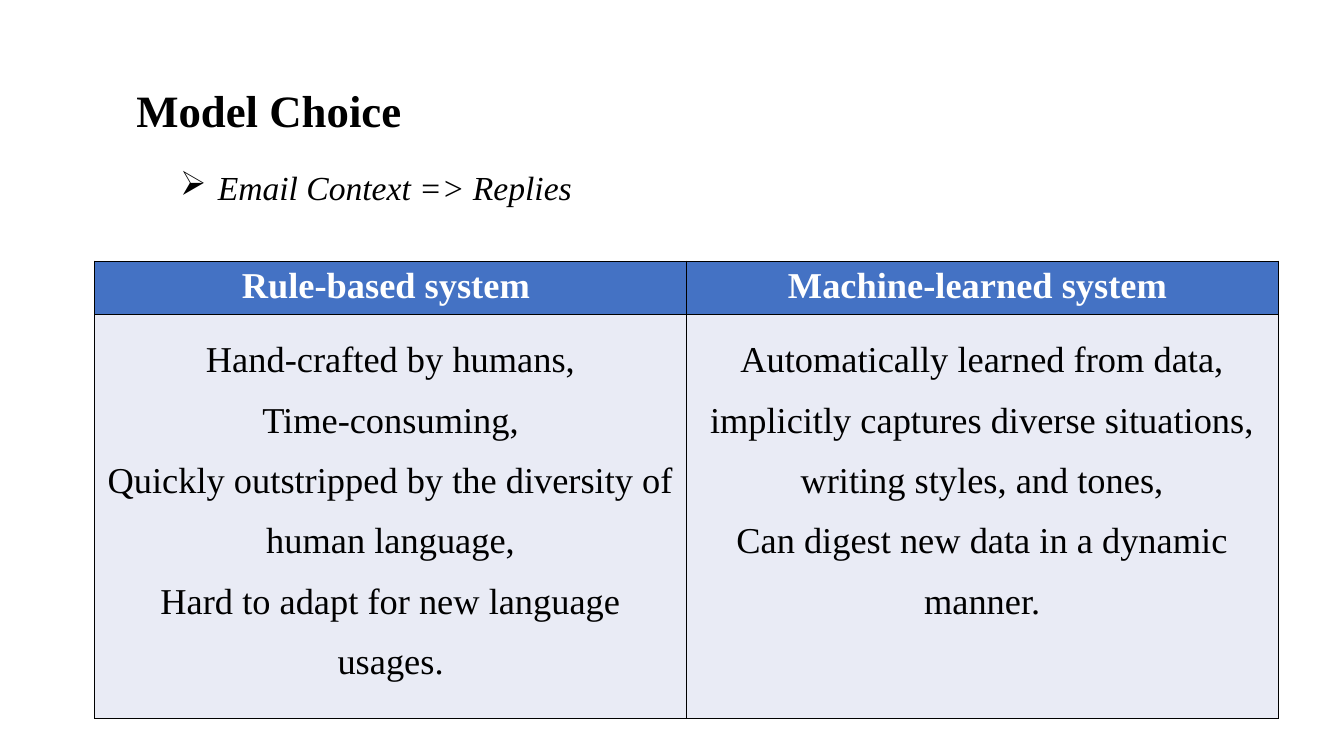
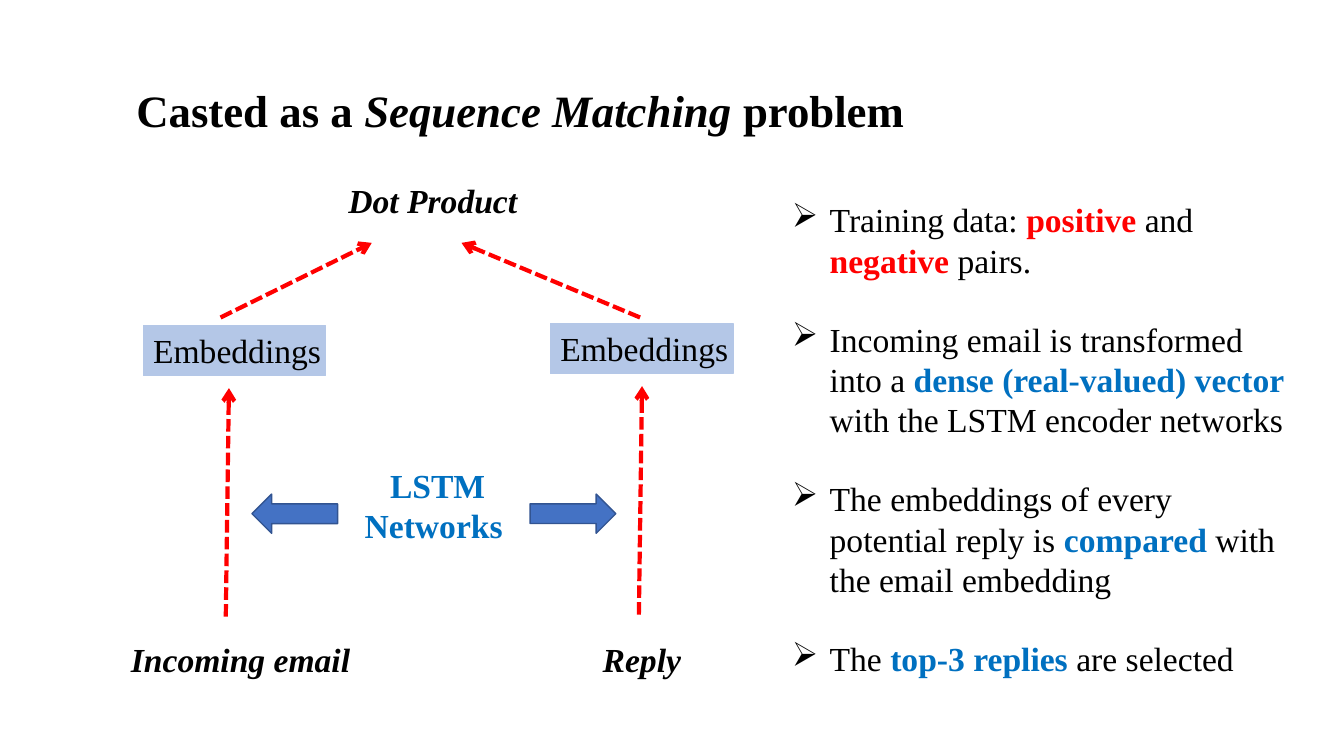
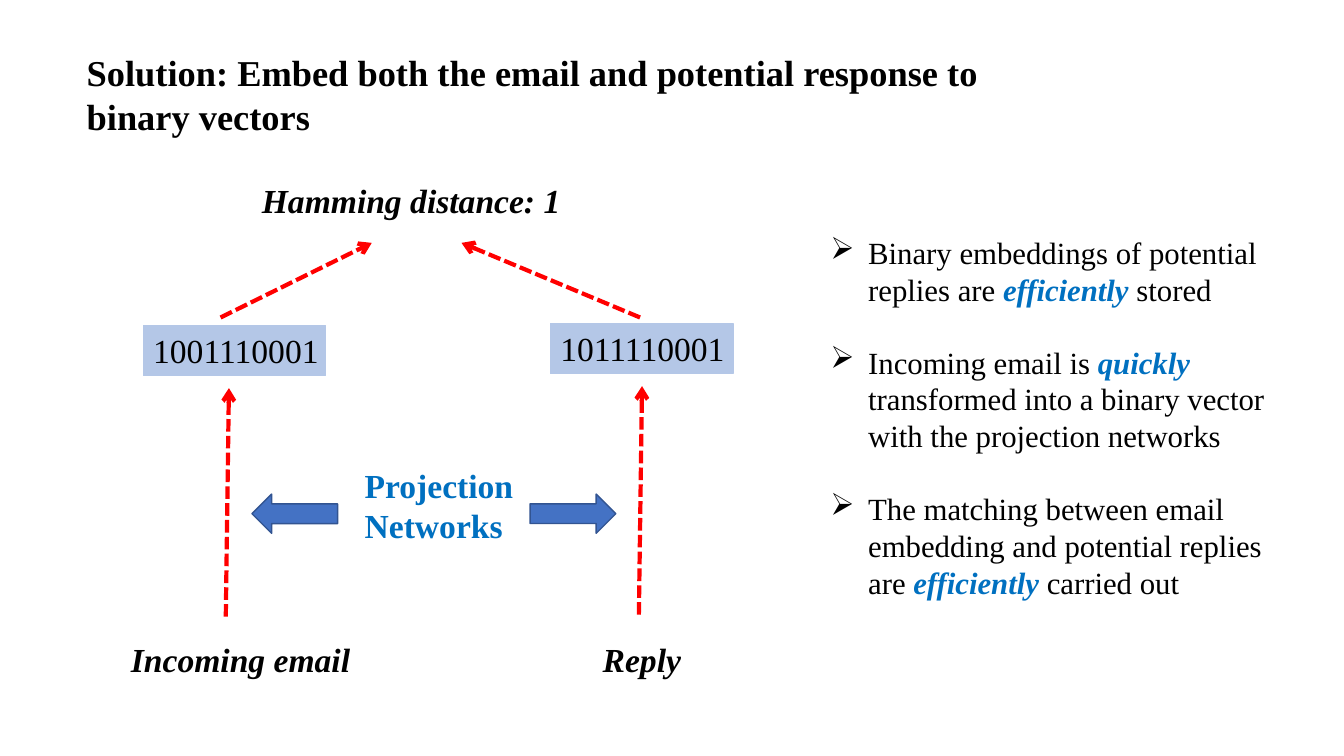
"""Build three slides on choosing and designing an email reply model."""
import pptx
import pptx.util
import pptx.dml.color
import pptx.enum.dml
import pptx.enum.shapes
import pptx.enum.text
import pptx.oxml
import pptx.oxml.ns

Cm, Pt = pptx.util.Cm, pptx.util.Pt
SHAPE = pptx.enum.shapes.MSO_SHAPE
ALIGN = pptx.enum.text.PP_ALIGN
FONT = "Times New Roman"
INDENT = 0.95
HUES = {"black": "000000", "white": "FFFFFF", "red": "FF0000", "blue": "0070C0",
        "head": "4472C4", "body": "E9EBF5", "box": "B4C7E7", "edge": "325491"}
STYLES = {
    "plain": ("black", {"bold": False, "italic": False}),
    "bold": ("black", {"bold": True, "italic": False}),
    "slant": ("black", {"bold": False, "italic": True}),
    "label": ("black", {"bold": True, "italic": True}),
    "white": ("white", {"bold": True, "italic": False}),
    "red": ("red", {"bold": True, "italic": False}),
    "blue": ("blue", {"bold": True, "italic": False}),
    "stress": ("blue", {"bold": True, "italic": True}),
}

CHOICE = {
    "title": [("Model Choice", "bold")],
    "place": (3.18, 0.61, 7.26, 2.57),
    "point": [("Email Context => Replies", "slant")],
    "table": [
        ("Rule-based system ", [
            "Hand-crafted by humans,",
            "Time-consuming,",
            "Quickly outstripped by the diversity of human language,",
            "Hard to adapt for new language usages."]),
        ("Machine-learned system ", [
            "Automatically learned from data,",
            "implicitly captures diverse situations, writing styles, and tones,",
            "Can digest new data in a dynamic manner."]),
    ],
}
MATCH = {
    "title": [("Casted as a ", "bold"), ("Sequence Matching ", "label"),
              ("problem", "bold")],
    "place": (3.18, 0.61, 20.04, 2.57),
    "score": ("Dot Product", 8.53),
    "codes": ("Embeddings", "Embeddings"),
    "net": ("LSTM Networks", 0.64),
    "list": (19.71, 4.9, 13.13, 12.57),
    "size": 24,
    "points": [
        [("Training data: ", "plain"), ("positive ", "red"), ("and ", "plain"),
         ("negative ", "red"), ("pairs.", "plain")],
        [("Incoming email is transformed into a ", "plain"),
         ("dense (real-valued) vector ", "blue"),
         ("with the LSTM encoder networks", "plain")],
        [("The embeddings of every potential reply is ", "plain"),
         ("compared ", "blue"), ("with the email embedding", "plain")],
        [("The ", "plain"), ("top-3 replies ", "blue"), ("are selected", "plain")],
    ],
}
BINARY = {
    "title": [("Solution: Embed both the email and potential response to "
               "binary vectors", "bold")],
    "place": (1.93, 1.14, 25.02, 2.49),
    "score": ("Hamming distance: 1", 6.35),
    "codes": ("1001110001", "1011110001"),
    "net": ("Projection Networks", 0),
    "list": (20.68, 5.77, 11.76, 9.65),
    "size": 22,
    "points": [
        [("Binary embeddings of potential replies are ", "plain"),
         ("efficiently ", "stress"), ("stored", "plain")],
        [("Incoming email is ", "plain"), ("quickly ", "stress"),
         ("transformed into a binary vector with the projection networks", "plain")],
        [("The matching between email embedding and potential replies are ", "plain"),
         ("efficiently ", "stress"), ("carried out", "plain")],
    ],
}
INPUTS = [("Incoming email", 3.05, 9.68), ("Reply", 14.94, 8.1)]
SPOTS = [(3.61, 8.2), (13.87, 8.15)]
LINKS = [(5.69, 15.54, 5.77, 9.78), (16.1, 15.49, 16.18, 9.73),
         (5.56, 8, 9.37, 6.12), (16.13, 8, 11.63, 6.12)]
BLOCKS = [(6.35, 180), (13.36, 0)]


def hue(name):
    return pptx.dml.color.RGBColor.from_string(HUES[name])


def node(tag, **attrs):
    item = pptx.oxml.parse_xml(f"<a:{tag} {pptx.oxml.ns.nsdecls('a')}/>")
    for key, value in attrs.items():
        item.set(key, value)
    return item


def write(para, runs, size, **form):
    for key, value in form.items():
        setattr(para, key, value)
    for text, style in runs:
        run = para.add_run()
        run.text = text
        color, marks = STYLES[style]
        for key, value in {"name": FONT, "size": Pt(size), **marks}.items():
            setattr(run.font, key, value)
        run.font.color.rgb = hue(color)


def fill_in(frame, paras, size, bullet=False, **form):
    for i, runs in enumerate(paras):
        para = frame.add_paragraph() if i else frame.paragraphs[0]
        if bullet:
            props = para._p.get_or_add_pPr()
            props.set("marL", str(Cm(INDENT)))
            props.set("indent", str(-Cm(INDENT)))
            props.append(node("buChar", char="➢"))
            form["space_before"] = Pt(round(size * 1.15, 1) if i else 0)
        write(para, runs, size, **form)


def add_text(slide, place, paras, size=24, **form):
    frame = slide.shapes.add_textbox(*map(Cm, place)).text_frame
    frame.word_wrap = True
    fill_in(frame, paras, size, **form)
    return frame


def add_shape(slide, kind, place, fill, edge):
    shape = slide.shapes.add_shape(kind, *map(Cm, place))
    shape.shadow.inherit = False
    shape.fill.solid()
    shape.fill.fore_color.rgb = hue(fill)
    shape.line.color.rgb = hue(edge)
    shape.line.width = Pt(1)
    return shape


def add_link(slide, ends):
    kind = pptx.enum.shapes.MSO_CONNECTOR.STRAIGHT
    link = slide.shapes.add_connector(kind, *map(Cm, ends))
    link.line.color.rgb = hue("red")
    link.line.width = Pt(3)
    link.line.dash_style = pptx.enum.dml.MSO_LINE.SQUARE_DOT
    props = link.element.spPr
    props.find(pptx.oxml.ns.qn("a:ln")).append(node("tailEnd", type="arrow"))
    props.append(node("effectLst"))


def add_slide(deck, data, size, spacing, wrap):
    slide = deck.slides.add_slide(deck.slide_layouts[5])
    title = slide.shapes.title
    for key, value in zip(("left", "top", "width", "height"), data["place"]):
        setattr(title, key, Cm(value))
    form = {"word_wrap": wrap,
            "vertical_anchor": pptx.enum.text.MSO_ANCHOR.TOP,
            "auto_size": pptx.enum.text.MSO_AUTO_SIZE.SHAPE_TO_FIT_TEXT}
    for key, value in form.items():
        setattr(title.text_frame, key, value)
    fill_in(title.text_frame, [data["title"]], size, alignment=ALIGN.LEFT,
            line_spacing=spacing, space_before=Pt(0))
    return slide


def style_cell(cell, fill, paras, spacing):
    props = cell._tc.get_or_add_tcPr()
    for side in ("lnL", "lnR", "lnT", "lnB"):
        edge = node(side, w=str(Pt(1)))
        paint = node("solidFill")
        paint.append(node("srgbClr", val=HUES["black"]))
        edge.append(paint)
        props.append(edge)
    cell.fill.solid()
    cell.fill.fore_color.rgb = hue(fill)
    fill_in(cell.text_frame, paras, 26, alignment=ALIGN.CENTER, line_spacing=spacing)


def add_table(slide, cols):
    wide, rows = 14.91, (1.35, 10.16)
    place = (2.39, 6.58, wide * len(cols), sum(rows))
    table = slide.shapes.add_table(len(rows), len(cols), *map(Cm, place)).table
    for row, height in zip(table.rows, rows):
        row.height = Cm(height)
    for i, (head, lines) in enumerate(cols):
        table.columns[i].width = Cm(wide)
        style_cell(table.cell(0, i), "head", [[(head, "white")]], 1)
        style_cell(table.cell(1, i), "body", [[(line, "plain")] for line in lines], 1.5)


def add_model(slide, data):
    for text, left, width in INPUTS:
        add_text(slide, (left, 15.98, width, 1.27), [[(text, "label")]])
    for ends in LINKS:
        add_link(slide, ends)
    for text, spot in zip(data["codes"], SPOTS):
        box = add_shape(slide, SHAPE.RECTANGLE, (*spot, 4.6, 1.27), "box", "box")
        box.text_frame.margin_right = Cm(0)
        box.text_frame.vertical_anchor = pptx.enum.text.MSO_ANCHOR.TOP
        fill_in(box.text_frame, [[(text, "plain")]], 24, alignment=ALIGN.LEFT)
    text, shift = data["net"]
    net = add_text(slide, (8.94, 11.58, 4.52, 2.31), [[(text, "blue")]])
    net.paragraphs[0]._p.get_or_add_pPr().set("indent", str(Cm(shift)))
    for left, turn in BLOCKS:
        block = add_shape(slide, SHAPE.RIGHT_ARROW, (left, 12.45, 2.16, 0.99),
                          "head", "edge")
        block.rotation = turn
    text, left = data["score"]
    add_text(slide, (left, 4.42, 10.46, 1.27), [[(text, "label")]])
    add_text(slide, data["list"], data["points"], data["size"], bullet=True)


def main():
    deck = pptx.Presentation()
    deck.slide_width, deck.slide_height = Cm(33.87), Cm(19.05)
    slide = add_slide(deck, CHOICE, 32, 2, False)
    add_table(slide, CHOICE["table"])
    add_text(slide, (4.29, 4.09, 19.71, 1.27), [CHOICE["point"]], bullet=True)
    add_model(add_slide(deck, MATCH, 32, 2, False), MATCH)
    add_model(add_slide(deck, BINARY, 26, 1, True), BINARY)
    deck.save("out.pptx")


if __name__ == "__main__":
    main()
